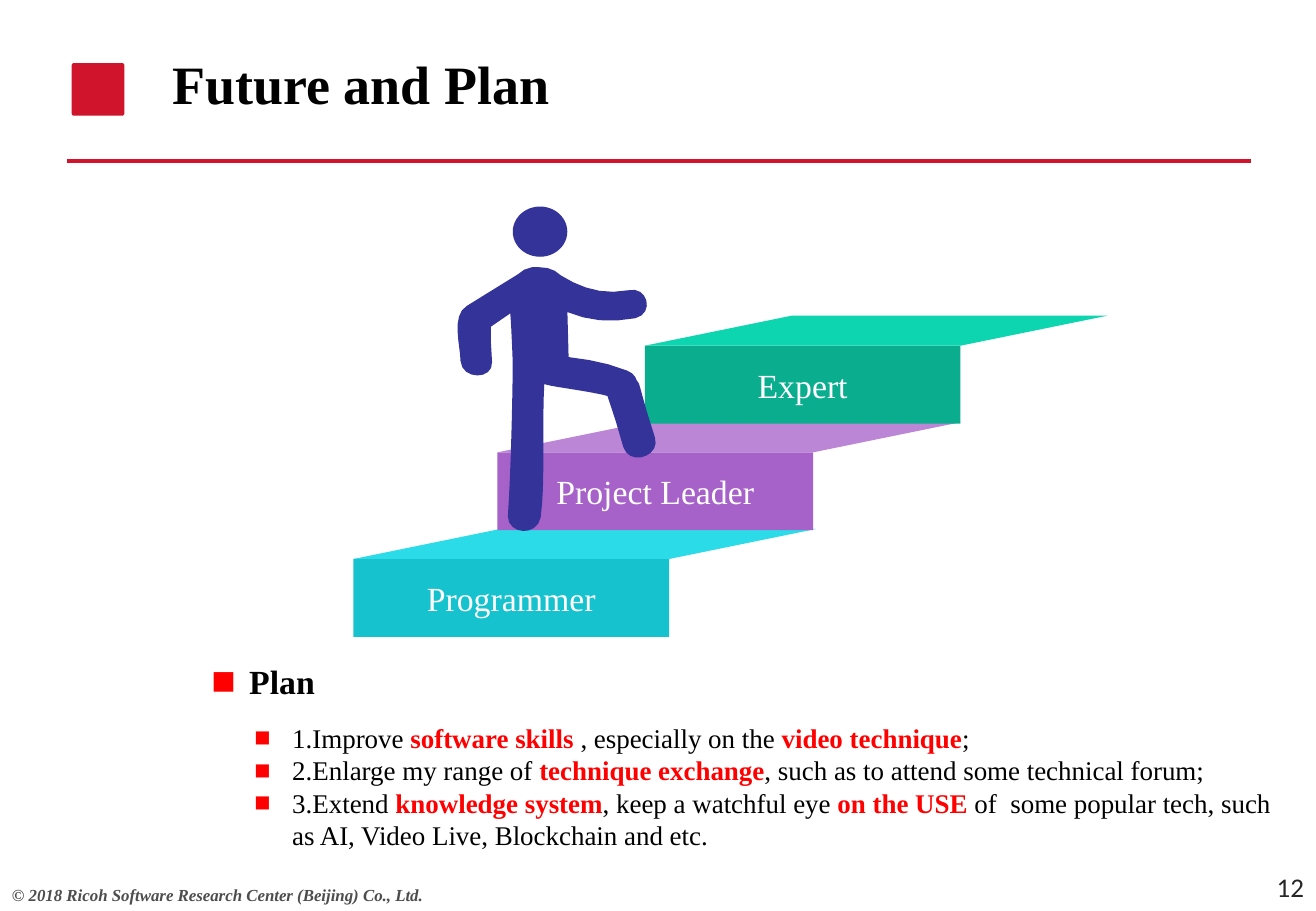
"""Build the slide on future and plan."""
from math import ceil, hypot, sqrt
from lxml.etree import SubElement as Sub
from pptx import Presentation as Deck
from pptx.dml.color import RGBColor as RGB
from pptx.enum.shapes import MSO_CONNECTOR as LINK, MSO_SHAPE as KIND
from pptx.enum.text import MSO_ANCHOR as ANCHOR, MSO_AUTO_SIZE as FIT, PP_ALIGN as ALIGN
from pptx.oxml.ns import qn
from pptx.util import Cm, Pt

RED = RGB(0xCF, 0x14, 0x2B)
BRIGHT = RGB(0xFF, 0x00, 0x00)
BLACK = RGB(0x00, 0x00, 0x00)
WHITE = RGB(0xFF, 0xFF, 0xFF)
GREY = RGB(0x4D, 0x4D, 0x4D)
DARK = RGB(0x26, 0x26, 0x26)
NAVY = RGB(0x33, 0x33, 0x99)
CYAN, AQUA = RGB(0x17, 0xC2, 0xCF), RGB(0x2C, 0xDB, 0xE8)
PLUM, LILAC = RGB(0xA7, 0x62, 0xCA), RGB(0xBB, 0x86, 0xD6)
GREEN, MINT = RGB(0x0A, 0xAE, 0x8F), RGB(0x0D, 0xD5, 0xAF)

SERIF = "Times New Roman"
HEAD = dict(name=SERIF, size=Pt(32), bold=True, color=BLACK)
LABEL = dict(name=SERIF, size=Pt(20), bold=False, color=WHITE)
TOPIC = dict(name=SERIF, size=Pt(20), bold=True, color=BLACK)
BODY = dict(name=SERIF, size=Pt(16), bold=False, color=BLACK)
STRONG = BODY | dict(bold=True, color=BRIGHT)
NOTICE = dict(name=SERIF, size=Pt(10), bold=True, italic=True, color=GREY)
NUMBER = dict(name="Calibri", size=Pt(16), color=DARK)

STAIRS = [
    ("Programmer", 7.39, CYAN, AQUA),
    ("Project Leader", 10.4, PLUM, LILAC),
    ("Expert", 13.48, GREEN, MINT),
]
WIDE, TALL, RISE = 6.6, 1.63, 2.23
SLANT, DEPTH = 3.08, 0.63

GOALS = [
    "1.Improve *software skills *, especially on the *video technique*;",
    "2.Enlarge my range of *technique exchange*, such as to attend some technical forum;",
    "3.Extend *knowledge system*, keep a watchful eye *on the USE *of  some popular tech, "
    "such as AI, Video Live, Blockchain and etc.",
]

START = (444, 220)
CURVES = [
    (451, 220, 457, 222, 462, 227), (478, 237, 496, 243, 517, 239),
    (533, 235, 539, 258, 523, 262), (502, 266, 484, 264, 467, 257),
    (467, 269, 468, 282, 468, 294), (485, 296, 501, 299, 516, 305),
    (521, 307, 523, 310, 524, 313), (525, 314, 525, 315, 526, 316),
    (530, 331, 534, 345, 539, 360), (544, 376, 518, 384, 513, 368),
    (509, 354, 505, 340, 500, 326), (486, 322, 450, 318, 448, 316),
    (446, 346, 449, 399, 445, 426), (442, 442, 418, 440, 418, 425),
    (421, 381, 422, 309, 422, 300), (422, 298, 421, 270, 420, 258),
    (415, 262, 409, 265, 404, 269), (404, 278, 404, 288, 405, 298),
    (406, 313, 380, 313, 379, 297), (379, 285, 371, 260, 384, 252),
    (398, 243, 412, 235, 426, 226), (431, 221, 438, 219, 444, 220),
]


def style(font, form):
    """Set font values from a dict."""
    for key, value in form.items():
        if key == "color":
            font.color.rgb = value
        else:
            setattr(font, key, value)


def write(para, text, form, strong=None):
    """Add runs, with the parts between stars in the strong form."""
    for spot, part in enumerate(text.split("*")):
        run = para.add_run()
        run.text = part
        style(run.font, strong if spot % 2 else form)


def paint(shape, color):
    """Give a shape a flat fill with no line or shadow."""
    shape.shadow.inherit = False
    shape.fill.solid()
    shape.fill.fore_color.rgb = color
    shape.line.fill.background()
    return shape


def block(slide, kind, place, color):
    """Add a filled preset shape."""
    return paint(slide.shapes.add_shape(kind, *map(Cm, place)), color)


def outline(slide, points, unit, color):
    """Add a filled closed outline."""
    first, *rest = [(round(x * unit), round(y * unit)) for x, y in points]
    pen = slide.shapes.build_freeform(*first)
    pen.add_line_segments(rest, close=True)
    return paint(pen.convert_to_shape(), color)


def bend(start, curve):
    """Return points along a cubic curve, more where it turns more."""
    ends = [start, curve[:2], curve[2:4], curve[4:]]
    turn = max(hypot(*(a - 2 * b + c for a, b, c in zip(*ends[spot:spot + 3])))
               for spot in (0, 1))
    count = max(1, ceil(sqrt(2 * turn)))
    points = []
    for step in range(1, count + 1):
        t = step / count
        parts = [(1 - t) ** 3, 3 * t * (1 - t) ** 2, 3 * t * t * (1 - t), t ** 3]
        points.append(tuple(sum(p * end[axis] for p, end in zip(parts, ends))
                            for axis in (0, 1)))
    return points


def box(slide, place, wrap=True, anchor=ANCHOR.TOP):
    """Add a text box and return its frame."""
    frame = slide.shapes.add_textbox(*map(Cm, place)).text_frame
    frame.word_wrap = wrap
    frame.vertical_anchor = anchor
    return frame


def bullet(para, size=100):
    """Give a paragraph a red square bullet."""
    props = para._p.get_or_add_pPr()
    props.set("marL", str(Cm(0.79)))
    props.set("indent", str(-Cm(0.79)))
    Sub(Sub(props, qn("a:buClr")), qn("a:srgbClr"), val=str(BRIGHT))
    Sub(props, qn("a:buSzPct"), val=str(size * 1000))
    Sub(props, qn("a:buFont"), typeface=SERIF)
    Sub(props, qn("a:buChar"), char="■")


def header(slide):
    """Add the title, its red mark and the rule below."""
    rule = slide.shapes.add_connector(
        LINK.STRAIGHT, Cm(1.4), Cm(3.37), Cm(26.16), Cm(3.37))
    rule.line.color.rgb = RED
    rule.line.width = Pt(2)
    Sub(rule._element.spPr, qn("a:effectLst"))
    mark = block(slide, KIND.ROUNDED_RECTANGLE, (1.5, 1.32, 1.1, 1.1), RED)
    mark.adjustments[0] = 0.04
    title = slide.shapes.title
    place = dict(left=3.35, top=0.85, width=17.07, height=1.78)
    for key, value in place.items():
        setattr(title, key, Cm(value))
    frame = title.text_frame
    frame.auto_size = FIT.NONE
    frame.vertical_anchor = ANCHOR.MIDDLE
    frame.paragraphs[0].alignment = ALIGN.LEFT
    write(frame.paragraphs[0], "Future and Plan", HEAD)


def stair(slide, level, name, left, front, tread):
    """Add one stair with its name and slanted tread."""
    top = 11.69 - level * RISE
    face = block(slide, KIND.RECTANGLE, (left, top, WIDE, TALL), front)
    face.text_frame.vertical_anchor = ANCHOR.MIDDLE
    para = face.text_frame.paragraphs[0]
    para.alignment = ALIGN.CENTER
    write(para, name, LABEL)
    back = left + SLANT
    points = [(left, top), (back, top - DEPTH),
              (back + WIDE, top - DEPTH), (left + WIDE, top)]
    outline(slide, points, Cm(1), tread)


def walker(slide):
    """Add the figure that climbs the stairs."""
    points = [START]
    for curve in CURVES:
        points += bend(points[-1], curve)
    outline(slide, points, Cm(2.54) / 100, NAVY)
    block(slide, KIND.OVAL, (10.72, 4.32, 1.14, 1.05), NAVY)


def plan(slide):
    """Add the plan heading and its goals."""
    para = box(slide, (4.17, 13.69, 2.69, 1.12), wrap=False).paragraphs[0]
    bullet(para, 120)
    write(para, "Plan", TOPIC)
    frame = box(slide, (5.07, 14.96, 21.95, 3))
    for spot, goal in enumerate(GOALS):
        para = frame.add_paragraph() if spot else frame.paragraphs[0]
        bullet(para)
        write(para, goal, BODY, STRONG)


def footer(slide):
    """Add the rights line and the page number."""
    frame = box(slide, (0, 18.38, 9.4, 0.69), wrap=False)
    write(frame.paragraphs[0],
          "© 2018 Ricoh Software Research Center (Beijing) Co., Ltd.", NOTICE)
    para = box(slide, (24.54, 18.03, 2.97, 1.02), anchor=ANCHOR.MIDDLE).paragraphs[0]
    para.alignment = ALIGN.RIGHT
    write(para, "12", NUMBER)


def main():
    """Build and save the deck."""
    deck = Deck()
    deck.slide_width, deck.slide_height = Cm(27.51), Cm(19.05)
    slide = deck.slides.add_slide(deck.slide_layouts[5])
    header(slide)
    for level, step in enumerate(STAIRS):
        stair(slide, level, *step)
    walker(slide)
    plan(slide)
    footer(slide)
    deck.save("out.pptx")


if __name__ == "__main__":
    main()
